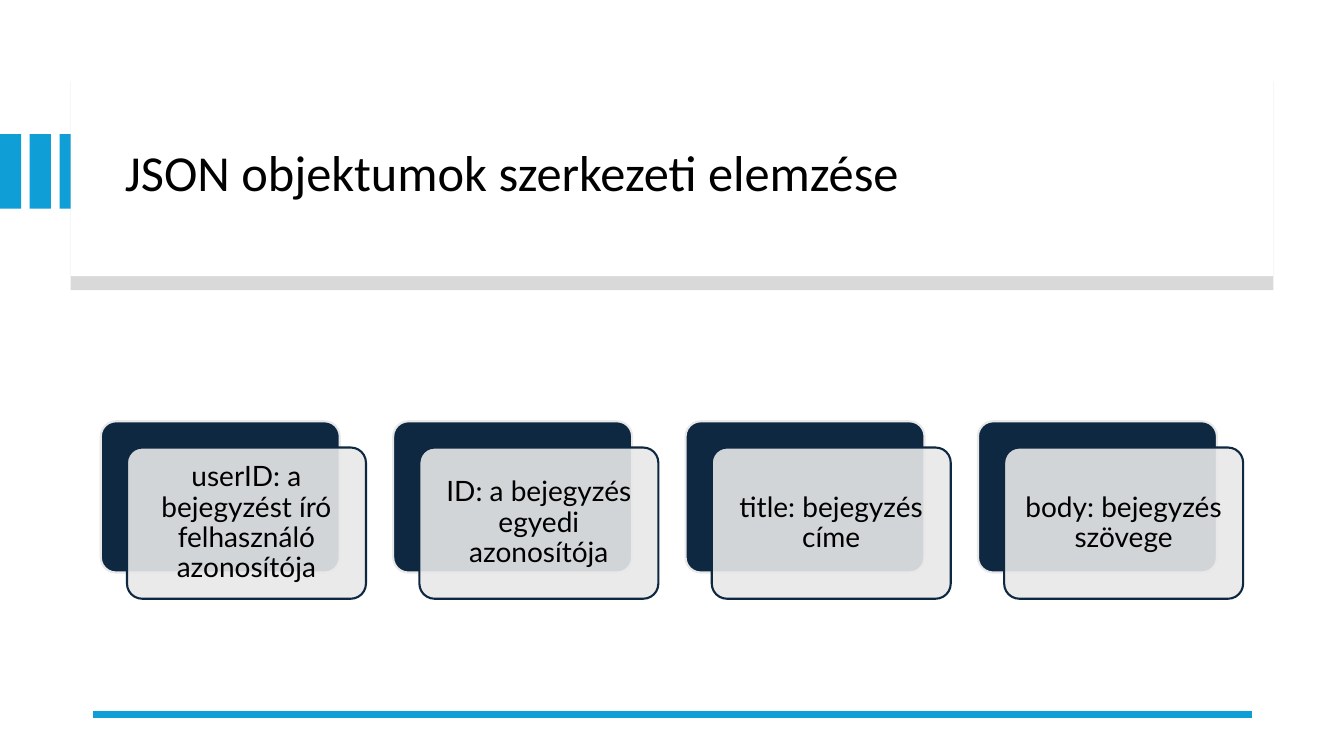
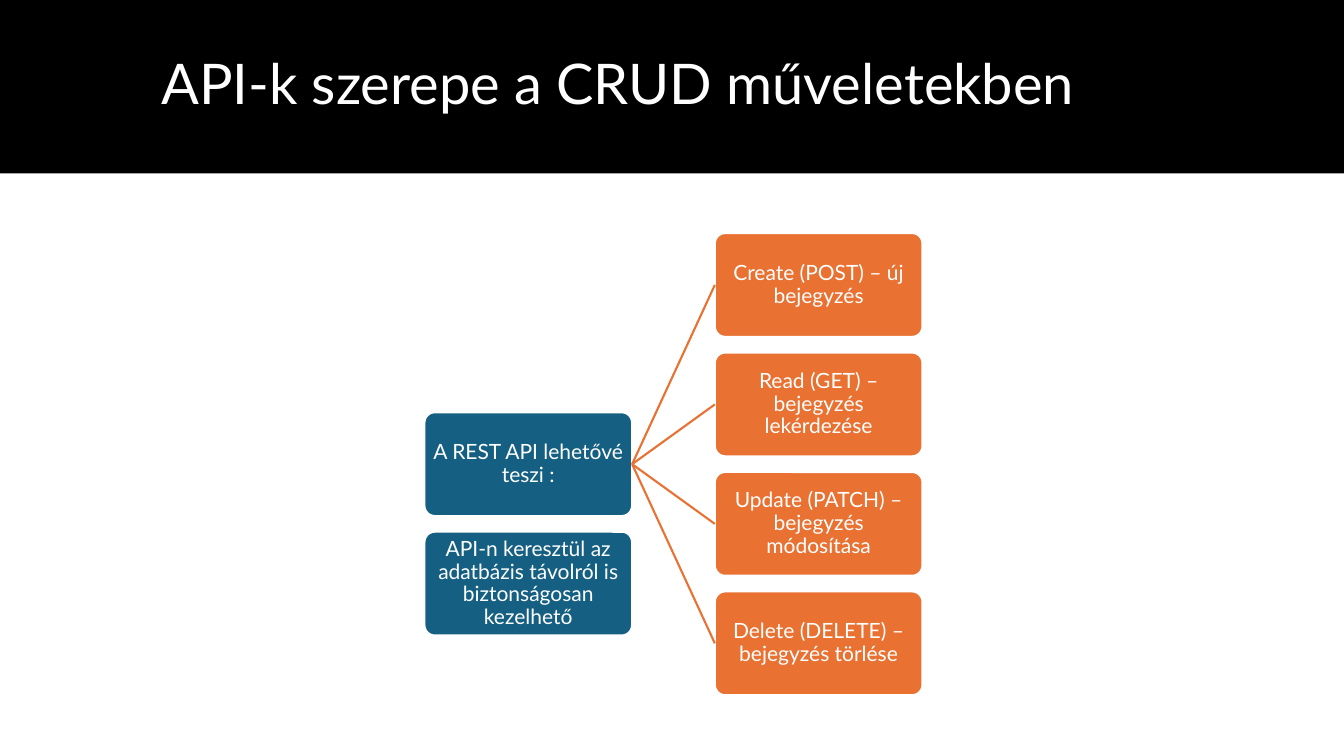
"""Builds two slides on JSON objects and the role of APIs in CRUD operations."""
from lxml import etree
from pptx import Presentation
from pptx import util as u
from pptx.dml import color
from pptx.enum import shapes, text
from pptx.oxml import ns

COLORS = {
    "sky": "0F9ED5", "navy": "0E2841", "mist": "E8E8E8", "teal": "156082",
    "orange": "E97132", "black": "000000", "white": "FFFFFF",
}


def rgb(name):
    return color.RGBColor.from_string(COLORS[name])


def write(sp, content, size, font="Lato", ink="black", align=None, after=0, inset=None):
    tf = sp.text_frame
    tf.word_wrap = True
    tf.vertical_anchor = text.MSO_ANCHOR.MIDDLE
    if inset is not None:
        tf.margin_left = tf.margin_right = u.Inches(inset)
        tf.margin_top = tf.margin_bottom = u.Inches(inset)
    p = tf.paragraphs[0]
    p.alignment = align
    p.line_spacing = 0.9
    p.space_after = u.Pt(after)
    r = p.add_run()
    r.text = content
    r.font.size = u.Pt(size)
    r.font.name = font
    r.font.color.rgb = rgb(ink)


class Deck:
    def __init__(self):
        self.prs = Presentation()
        self.prs.slide_width = u.Inches(13.33)
        self.prs.slide_height = u.Inches(7.5)
        self.s = None

    def slide(self):
        self.s = self.prs.slides.add_slide(self.prs.slide_layouts[6])

    def title(self, content, box, **fmt):
        sp = self.s.shapes.add_textbox(*map(u.Inches, box))
        write(sp, content, **fmt)

    def block(self, box, fill, line=None, rounded=False, alpha=None):
        kind = shapes.MSO_SHAPE.ROUNDED_RECTANGLE if rounded else shapes.MSO_SHAPE.RECTANGLE
        sp = self.s.shapes.add_shape(kind, *map(u.Inches, box))
        sp.shadow.inherit = False
        if rounded:
            sp.adjustments[0] = 0.1
        sp.fill.solid()
        sp.fill.fore_color.rgb = rgb(fill)
        if alpha:
            clr = sp.fill._xPr.find(".//" + ns.qn("a:srgbClr"))
            etree.SubElement(clr, ns.qn("a:alpha"), val=str(alpha * 1000))
        if line:
            sp.line.color.rgb = rgb(line)
            sp.line.width = u.Pt(1.5)
        else:
            sp.line.fill.background()
        return sp

    def drop_shadow(self, sp, distance, alpha):
        effects = sp._element.spPr.find(ns.qn("a:effectLst"))
        shadow = etree.SubElement(effects, ns.qn("a:outerShdw"), blurRad="0",
                                  dist=str(u.Pt(distance)), dir="5400000",
                                  algn="t", rotWithShape="0")
        clr = etree.SubElement(shadow, ns.qn("a:srgbClr"), val=COLORS["black"])
        etree.SubElement(clr, ns.qn("a:alpha"), val=str(alpha * 1000))

    def line(self, start, end, ink, width):
        cx = self.s.shapes.add_connector(shapes.MSO_CONNECTOR.STRAIGHT,
                                         *map(u.Inches, (*start, *end)))
        cx.line.color.rgb = rgb(ink)
        cx.line.width = u.Pt(width)
        etree.SubElement(cx._element.spPr, ns.qn("a:effectLst"))
        return cx

    def link(self, parent, child, ink):
        cx = self.line((0, 0), (1, 1), ink, 1.5)
        cx.begin_connect(parent, 3)
        cx.end_connect(child, 1)

    def card(self, left, top, content):
        width, height, offset = 2.37, 1.5, 0.26
        self.block((left, top, width, height), "navy", "mist", rounded=True)
        sp = self.block((left + offset, top + offset, width, height),
                        "mist", "navy", rounded=True, alpha=90)
        write(sp, content, 20, align=text.PP_ALIGN.CENTER, after=8, inset=0.09)

    def node(self, left, top, content, fill):
        sp = self.block((left, top, 2.06, 1.03), fill, "white", rounded=True)
        write(sp, content, 15, ink="white", align=text.PP_ALIGN.CENTER, after=6, inset=0.01)
        return sp


def json_slide(deck):
    deck.slide()
    for i in range(3):
        deck.block((i * 0.295, 1.33, 0.21, 0.74), "sky")
    panel = deck.block((0.7, 0.67, 11.93, 2.07), "white")
    deck.drop_shadow(panel, 10, 15)
    deck.title("JSON objektumok szerkezeti elemzése", (1.14, 0.89, 11.13, 1.7),
               size=36, font="Calibri")
    deck.line((0.92, 7.09), (12.42, 7.09), "sky", 4.5)
    fields = ["userID: a bejegyzést író felhasználó azonosítója",
              "ID: a bejegyzés egyedi azonosítója",
              "title: bejegyzés címe",
              "body: bejegyzés szövege"]
    for i, field in enumerate(fields):
        deck.card(1 + i * 2.9, 4.18, field)


def crud_slide(deck):
    deck.slide()
    deck.block((0, 0, 13.33, 1.72), "black")
    deck.title("API-k szerepe a CRUD műveletekben", (1.5, 0.38, 10.98, 0.96),
               size=40, ink="white")
    pitch, root_top = 1.185, 4.09
    root = deck.node(4.21, root_top, "A REST API lehetővé teszi :", "teal")
    operations = ["Create (POST) – új bejegyzés",
                  "Read (GET) – bejegyzés lekérdezése",
                  "Update (PATCH) – bejegyzés módosítása",
                  "Delete (DELETE) – bejegyzés törlése"]
    for i, operation in enumerate(operations):
        child = deck.node(7.09, root_top + (i - 1.5) * pitch, operation, "orange")
        deck.link(root, child, "orange")
    deck.node(4.21, root_top + pitch,
              "API-n keresztül az adatbázis távolról is biztonságosan kezelhető", "teal")


def main():
    deck = Deck()
    json_slide(deck)
    crud_slide(deck)
    deck.prs.save("out.pptx")


if __name__ == "__main__":
    main()
